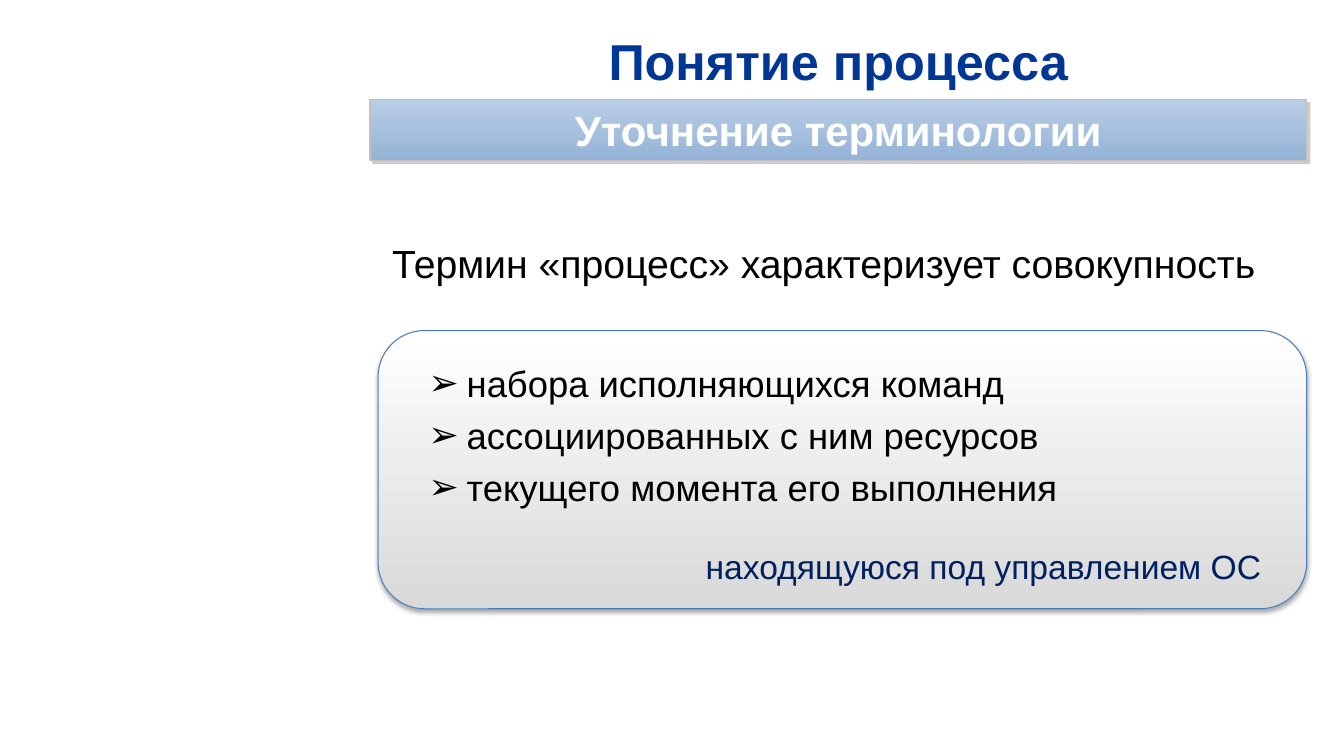
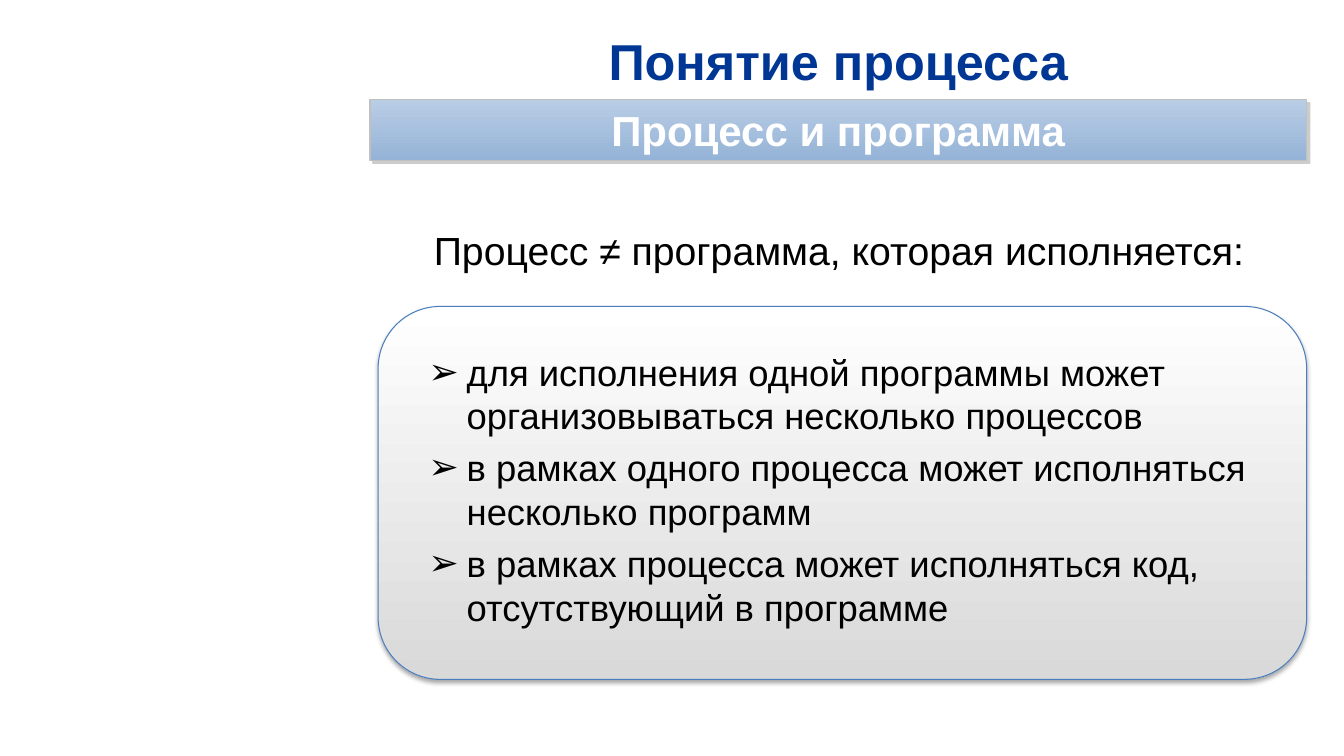
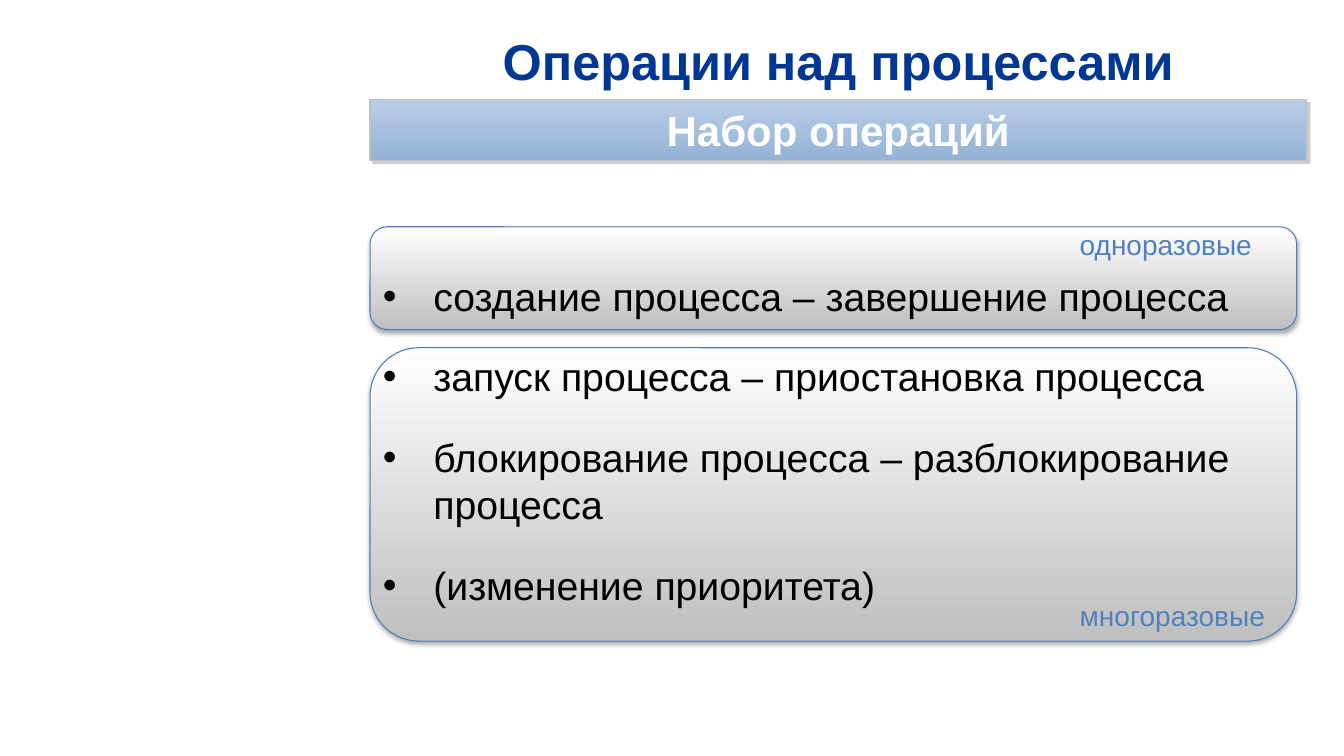
from dataclasses import dataclass

from lxml import etree
from pptx import Presentation
from pptx.dml.color import RGBColor
from pptx.enum.shapes import MSO_SHAPE
from pptx.enum.text import MSO_ANCHOR, PP_ALIGN
from pptx.oxml.ns import qn
from pptx.util import Inches, Pt

LEFT, CENTER = PP_ALIGN.LEFT, PP_ALIGN.CENTER
TOP, MIDDLE = MSO_ANCHOR.TOP, MSO_ANCHOR.MIDDLE
RECTANGLE, ROUNDED = MSO_SHAPE.RECTANGLE, MSO_SHAPE.ROUNDED_RECTANGLE

# Shared look
FONT = "Arial"
BLACK, WHITE, TITLE_BLUE = "000000", "FFFFFF", "003794"
NAVY, LABEL_BLUE = "002060", "4F81BD"
COLUMN_LEFT, COLUMN_WIDTH = 3.67, 9.29


@dataclass(frozen=True)
class Box:
    left: float
    top: float
    width: float
    height: float

    def lengths(self) -> list:
        return [Inches(n) for n in (self.left, self.top, self.width, self.height)]


@dataclass(frozen=True)
class Shadow:
    color: str
    opacity: int
    blur: float
    distance: float
    angle: int


@dataclass(frozen=True)
class PanelStyle:
    preset: int
    start: str
    end: str
    line: str
    line_width: float
    shadow: Shadow


@dataclass(frozen=True)
class Bullet:
    mark: str
    indent: float
    space_before: int


SOFT = Shadow(BLACK, 35, 3.1, 1.8, 90)
BAND = PanelStyle(RECTANGLE, "B9CDE5", "95B3D7", "C0C0C0", 1,
                  Shadow("808080", 40, 0, 3, 45))
LIGHT_CARD = PanelStyle(ROUNDED, WHITE, "D9D9D9", "4B7EBC", 0.75, SOFT)
GREY_CARD = PanelStyle(ROUNDED, WHITE, "BFBFBF", "4B7EBC", 0.75, SOFT)
ARROW = Bullet("➢", 0.38, 6)
DOT = Bullet("•", 0.5, 24)


def rgb(color: str) -> RGBColor:
    return RGBColor.from_string(color)


def add_shadow(shape, shadow: Shadow) -> None:
    shape.shadow.inherit = False
    effects = shape.element.spPr.find(qn("a:effectLst"))
    outer = etree.SubElement(
        effects, qn("a:outerShdw"), blurRad=str(Pt(shadow.blur)),
        dist=str(Pt(shadow.distance)), dir=str(shadow.angle * 60000),
        algn="ctr", rotWithShape="0")
    tint = etree.SubElement(outer, qn("a:srgbClr"), val=shadow.color)
    etree.SubElement(tint, qn("a:alpha"), val=str(shadow.opacity * 1000))


def add_panel(page, box: Box, style: PanelStyle):
    shape = page.shapes.add_shape(style.preset, *box.lengths())
    shape.fill.gradient()
    shape.fill.gradient_angle = 270
    for stop, color in zip(shape.fill.gradient_stops, (style.start, style.end)):
        stop.color.rgb = rgb(color)
    shape.line.color.rgb = rgb(style.line)
    shape.line.width = Pt(style.line_width)
    add_shadow(shape, style.shadow)
    return shape


def add_bullet(para, bullet: Bullet) -> None:
    para.space_before = Pt(bullet.space_before)
    properties = para._p.get_or_add_pPr()
    properties.set("marL", str(Inches(bullet.indent)))
    properties.set("indent", str(-Inches(bullet.indent)))
    etree.SubElement(properties, qn("a:buFont"), typeface=FONT)
    etree.SubElement(properties, qn("a:buChar"), char=bullet.mark)


def write(shape, *lines: str, size: int, color: str = BLACK, bold: bool = False,
          align: PP_ALIGN = LEFT, anchor: MSO_ANCHOR = TOP,
          bullet: Bullet | None = None) -> None:
    frame = shape.text_frame
    frame.word_wrap = True
    frame.vertical_anchor = anchor
    for number, line in enumerate(lines):
        para = frame.add_paragraph() if number else frame.paragraphs[0]
        para.alignment = align
        if bullet:
            add_bullet(para, bullet)
        span = para.add_run()
        span.text = line
        span.font.name = FONT
        span.font.size = Pt(size)
        span.font.bold = bold
        span.font.color.rgb = rgb(color)


def add_text(page, box: Box, *lines: str, **text_format) -> None:
    write(page.shapes.add_textbox(*box.lengths()), *lines, **text_format)


def add_page(deck, title: str, subtitle: str):
    page = deck.slides.add_slide(deck.slide_layouts[6])
    add_text(page, Box(COLUMN_LEFT, 0.26, COLUMN_WIDTH, 0.68), title, size=36,
             color=TITLE_BLUE, bold=True, align=CENTER, anchor=MIDDLE)
    band = add_panel(page, Box(COLUMN_LEFT, 0.99, COLUMN_WIDTH, 0.6), BAND)
    frame = band.text_frame
    frame.margin_left = frame.margin_right = Inches(0.24)
    frame.margin_top = frame.margin_bottom = Inches(0.04)
    write(band, subtitle, size=30, color=WHITE, bold=True, align=CENTER,
          anchor=MIDDLE)
    return page


def add_terms(deck) -> None:
    page = add_page(deck, "Понятие процесса", "Уточнение терминологии")
    add_panel(page, Box(3.75, 3.28, 9.21, 2.76), LIGHT_CARD)
    add_text(page, Box(3.79, 2.33, 9.06, 0.57),
             "Термин «процесс» характеризует совокупность", size=28)
    add_text(page, Box(4.15, 3.53, 8.35, 1.58),
             "набора исполняющихся команд",
             "ассоциированных с ним ресурсов",
             "текущего момента его выполнения", size=26, bullet=ARROW)
    add_text(page, Box(6.9, 5.37, 5.83, 0.5),
             "находящуюся под управлением ОС", size=24, color=NAVY)


def add_comparison(deck) -> None:
    page = add_page(deck, "Понятие процесса", "Процесс и программа")
    add_panel(page, Box(3.75, 3.04, 9.21, 3.7), LIGHT_CARD)
    add_text(page, Box(4.03, 2.2, 8.58, 0.57),
             "Процесс ≠ программа, которая исполняется:", size=28, align=CENTER)
    add_text(page, Box(4.15, 3.42, 8.35, 2.89),
             "для исполнения одной программы может организовываться несколько процессов",
             "в рамках одного процесса может исполняться несколько программ",
             "в рамках процесса может исполняться код, отсутствующий в программе",
             size=26, bullet=ARROW)


def add_operations(deck) -> None:
    page = add_page(deck, "Операции над процессами", "Набор операций")
    for top, height in ((2.25, 1.02), (3.45, 2.91)):
        add_panel(page, Box(COLUMN_LEFT, top, 9.19, height), GREY_CARD)
    add_text(page, Box(3.7, 2.65, 9.27, 3.47),
             "создание процесса – завершение процесса",
             "запуск процесса – приостановка процесса",
             "блокирование процесса – разблокирование процесса",
             "(изменение приоритета)", size=28, bullet=DOT)
    for top, label in ((2.21, "одноразовые"), (5.89, "многоразовые")):
        add_text(page, Box(10.61, top, 2.05, 0.44), label, size=20,
                 color=LABEL_BLUE)


def main() -> None:
    deck = Presentation()
    deck.slide_width, deck.slide_height = Inches(13.33), Inches(7.5)
    add_terms(deck)
    add_comparison(deck)
    add_operations(deck)
    deck.save("out.pptx")


if __name__ == "__main__":
    main()
